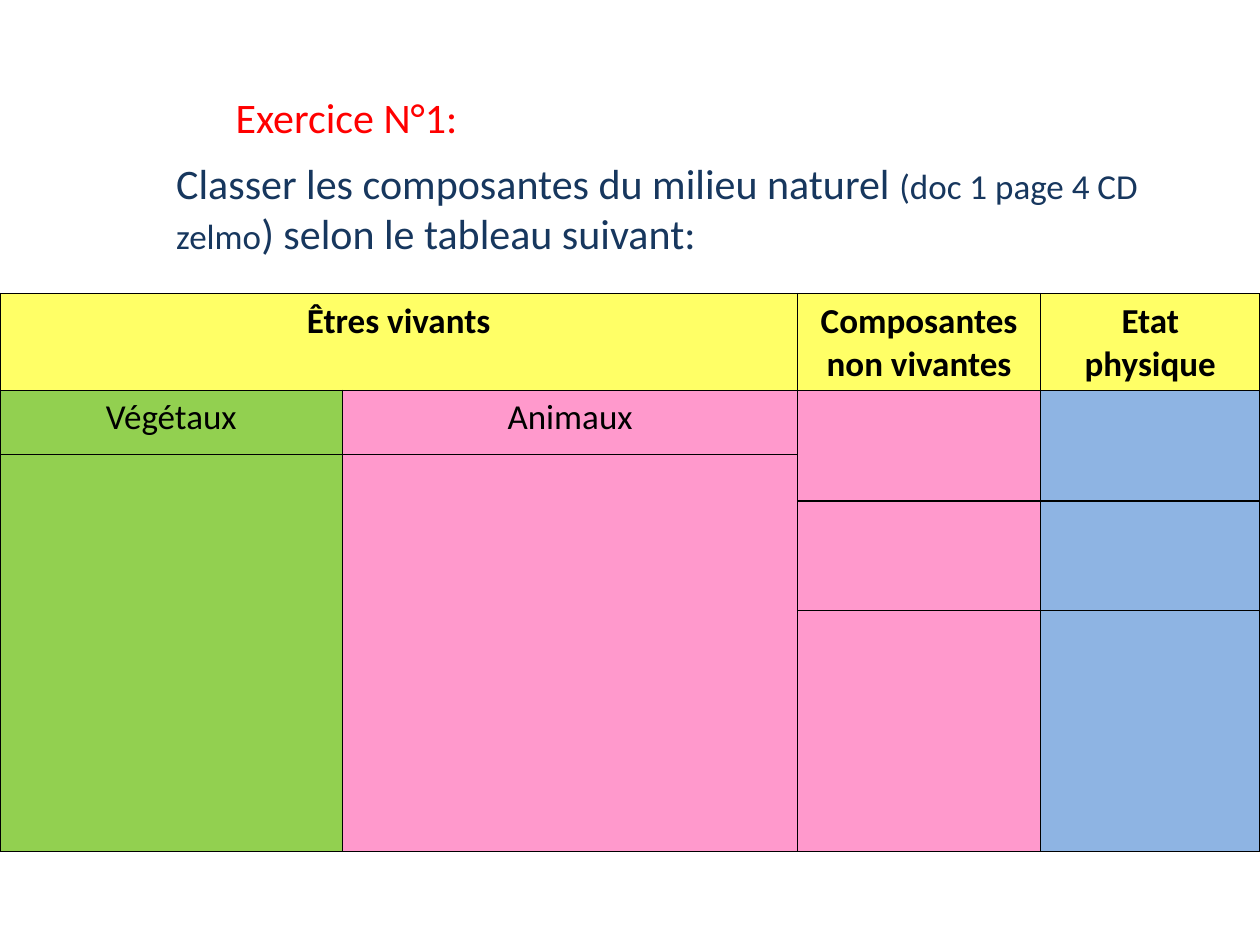
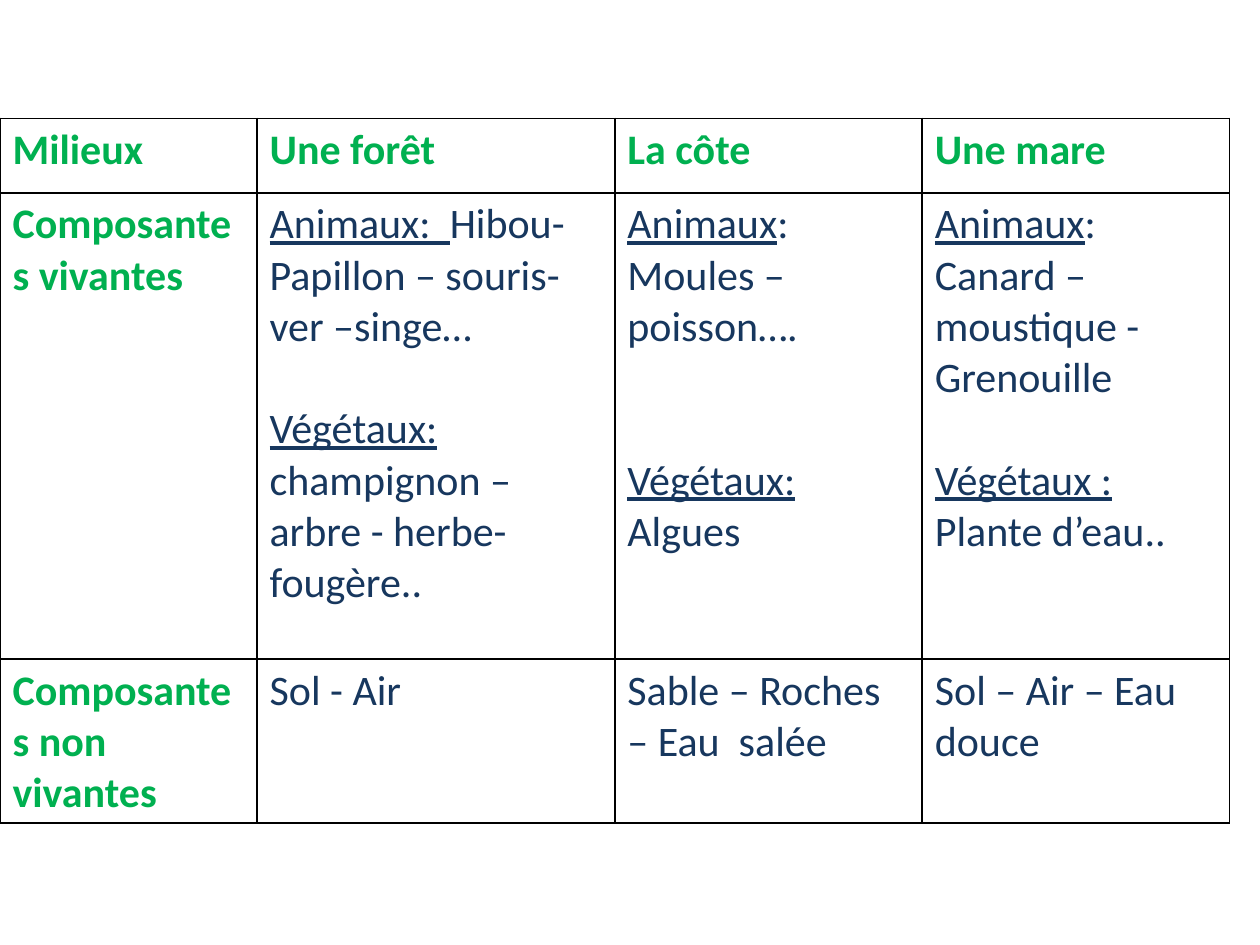
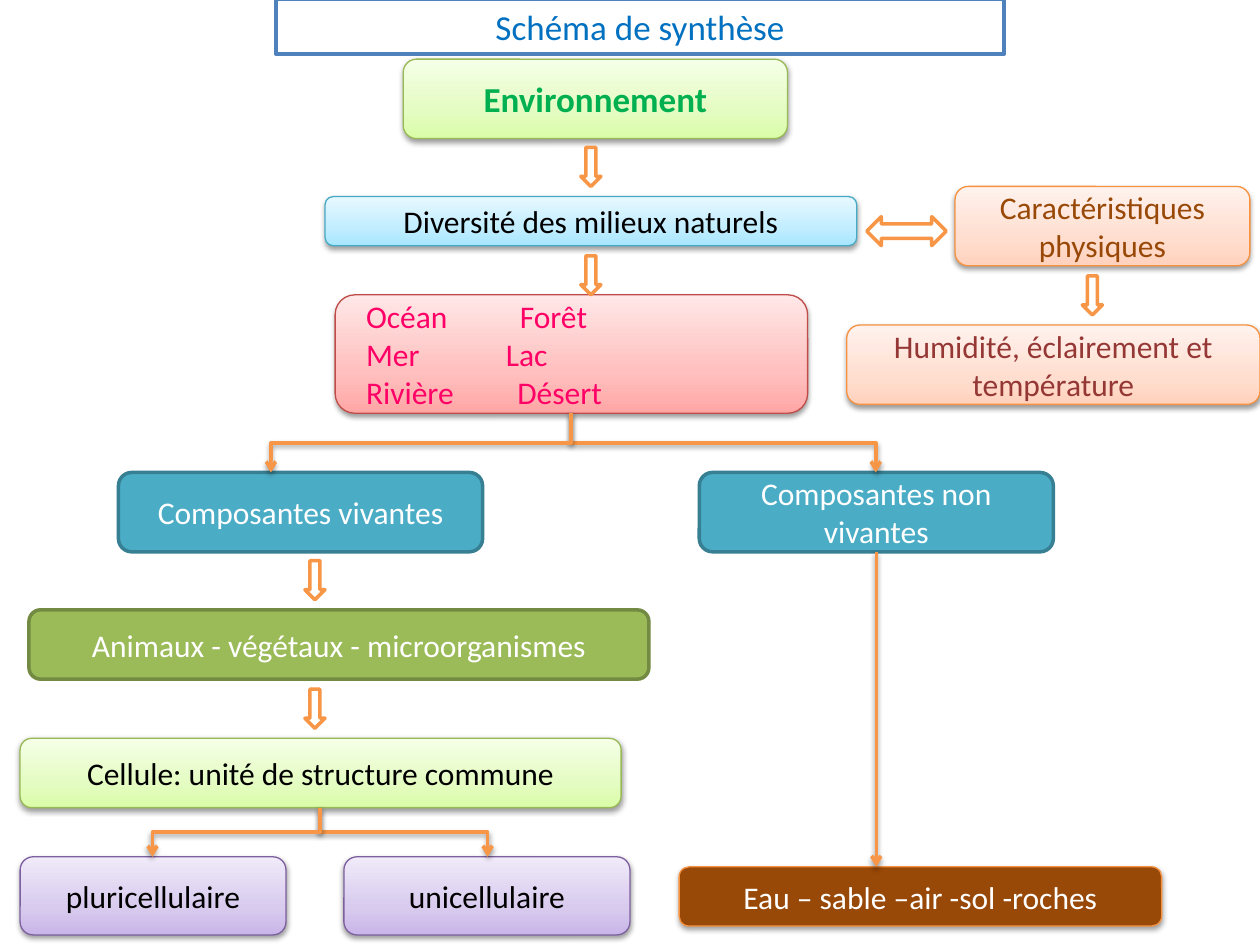
from lxml import etree
from pptx import Presentation
from pptx.dml.color import RGBColor
from pptx.enum.shapes import MSO_CONNECTOR, MSO_SHAPE
from pptx.enum.text import MSO_ANCHOR, MSO_AUTO_SIZE, PP_ALIGN
from pptx.oxml.ns import qn
from pptx.util import Inches, Pt

FONT = "Calibri"
LEFT, CENTER = PP_ALIGN.LEFT, PP_ALIGN.CENTER
TOP, MIDDLE = MSO_ANCHOR.TOP, MSO_ANCHOR.MIDDLE
ROUNDED = MSO_SHAPE.ROUNDED_RECTANGLE
DOWN, BOTH_WAYS = MSO_SHAPE.DOWN_ARROW, MSO_SHAPE.LEFT_RIGHT_ARROW
STRAIGHT, ELBOW = MSO_CONNECTOR.STRAIGHT, MSO_CONNECTOR.ELBOW
TITLE_ONLY, BLANK = 5, 6

BLACK, WHITE, NAVY, RED = "000000", "FFFFFF", "17375E", "FF0000"
GREEN, ORANGE, BROWN = "00B050", "F79646", "984807"
YELLOW, LIME, PINK, SKY = "FFFF66", "92D050", "FF99CC", "8EB4E3"

# Box styles: fill (one colour or gradient stops), line colour, line width, shadow
LIGHT_GREEN = (("DAFDA7", "E4FCC2", "F5FFE7"), "98B955", 0.75, True)
LIGHT_BLUE = (("A7E6FF", "C1EDFF", "E7F8FF"), "46AAC5", 0.75, True)
LIGHT_ORANGE = (("FFD2BD", "FFDED0", "FFF2ED"), "F69240", 0.75, True)
LIGHT_RED = (("FFA6A5", "FFC0BF", "FFE7E7"), "BF4C48", 0.75, True)
LIGHT_PURPLE = (("C9B5E8", "D8CBEE", "F0EAF9"), "7D60A0", 0.75, True)
SOLID_TEAL = ("4BACC6", "377F92", 2, False)
SOLID_GREEN = ("9BBB59", "738A42", 2, False)
SOLID_BROWN = (BROWN, "F69240", 0.75, True)
ARROW = (WHITE, ORANGE, 2, False)
GRADIENT_STOPS = (0, 35000, 100000)


def rgb(value):
    return RGBColor.from_string(value)


def child(parent, tag, **attributes):
    """Append a drawing element such as a:ln."""
    element = etree.SubElement(parent, qn(tag))
    for name, value in attributes.items():
        element.set(name, str(value))
    return element


def add_span(para, text, size, color, bold=False, underline=False):
    span = para.add_run()
    span.text = text
    font = span.font
    font.name, font.size, font.bold = FONT, Pt(size), bold
    font.underline = underline
    font.color.rgb = rgb(color)


def write(frame, paragraphs, size, color, bold=False, align=LEFT):
    """Fill a frame; a paragraph is a text or (lines of gap above, spans)."""
    for index, content in enumerate(paragraphs):
        para = frame.paragraphs[0] if index == 0 else frame.add_paragraph()
        para.alignment = align
        gap, spans = (0, [(content, {})]) if isinstance(content, str) else content
        para.space_before = Pt(size * 1.22 * gap)
        for text, changes in spans:
            add_span(para, text, **{"size": size, "color": color, "bold": bold, **changes})


def place(shape, left, top, width, height):
    shape.left, shape.top = Inches(left), Inches(top)
    shape.width, shape.height = Inches(width), Inches(height)


def add_title(page, text, area, size, color, align):
    title = page.shapes.title
    place(title, *area)
    frame = title.text_frame
    frame.auto_size = MSO_AUTO_SIZE.NONE
    frame.vertical_anchor = TOP
    write(frame, [text], size, color, align=align)
    return title


def add_table(page, left, top, columns, rows):
    table = page.shapes.add_table(
        len(rows), len(columns), Inches(left), Inches(top),
        Inches(sum(columns)), Inches(sum(rows))).table
    table.first_row = table.horz_banding = False
    for column, width in zip(table.columns, columns):
        column.width = Inches(width)
    for row, height in zip(table.rows, rows):
        row.height = Inches(height)
    for cell in table.iter_cells():
        properties = cell._tc.get_or_add_tcPr()
        for side in ("a:lnL", "a:lnR", "a:lnT", "a:lnB"):
            border = child(properties, side, w=Pt(1))
            child(child(border, "a:solidFill"), "a:srgbClr", val=BLACK)
        cell.fill.background()
    return table


def fill_cell(cell, color):
    cell.fill.solid()
    cell.fill.fore_color.rgb = rgb(color)


def add_shadow(effects):
    shadow = child(effects, "a:outerShdw", blurRad=Pt(3.1), dist=Pt(1.6),
                   dir=5400000, rotWithShape=0)
    child(child(shadow, "a:srgbClr", val=BLACK), "a:alpha", val=38000)


def fill_gradient(shape, colors):
    """Run the colours from the bottom edge to the top edge."""
    shape.fill.gradient()
    shape.fill.gradient_angle = 90
    stops = shape._element.spPr.find(qn("a:gradFill")).find(qn("a:gsLst"))
    for stop in list(stops):
        stops.remove(stop)
    for position, color in zip(GRADIENT_STOPS, colors):
        child(child(stops, "a:gs", pos=position), "a:srgbClr", val=color)


def style_shape(shape, style):
    fill, line, width, shadowed = style
    if isinstance(fill, str):
        shape.fill.solid()
        shape.fill.fore_color.rgb = rgb(fill)
    else:
        fill_gradient(shape, fill)
    shape.line.color.rgb = rgb(line)
    shape.line.width = Pt(width)
    shape.shadow.inherit = False
    if shadowed:
        add_shadow(shape._element.spPr.find(qn("a:effectLst")))


def add_shape(page, kind, area, style):
    shape = page.shapes.add_shape(kind, *map(Inches, area))
    style_shape(shape, style)
    return shape


def add_box(page, paragraphs, area, style, color, size=18, bold=False, align=CENTER):
    box = add_shape(page, ROUNDED, area, style)
    frame = box.text_frame
    frame.word_wrap = True
    frame.vertical_anchor = MIDDLE
    write(frame, paragraphs, size, color, bold, align)
    return box


def style_connector(connector):
    connector.line.color.rgb = rgb(ORANGE)
    connector.line.width = Pt(2)
    properties = connector._element.spPr
    child(properties.find(qn("a:ln")), "a:tailEnd", type="arrow")
    add_shadow(child(properties, "a:effectLst"))


def add_fork(page, x, top, bottom, branches):
    """Draw elbows that go down from one point to several."""
    drop = bottom - top
    for end in branches:
        reach = abs(end - x)
        left = (x + end - drop) / 2
        upper = (top + bottom - reach) / 2
        elbow = page.shapes.add_connector(
            ELBOW, *map(Inches, (left, upper, left + drop, upper + reach)))
        frame = elbow._element.spPr.find(qn("a:xfrm"))
        if end > x:
            frame.set("rot", "16200000")
            frame.set("flipH", "1")
        else:
            frame.set("rot", "5400000")
        style_connector(elbow)


def build_exercise(deck):
    page = deck.slides.add_slide(deck.slide_layouts[TITLE_ONLY])
    add_title(page, "Exercice N°1:", (1.77, 0.68, 2.27, 0.5), 24, RED, LEFT)
    box = page.shapes.add_textbox(*map(Inches, (1.3, 1.2, 8.28, 0.91)))
    box.text_frame.word_wrap = True
    write(box.text_frame, [(0, [
        ("Classer les composantes du milieu naturel ", {}),
        ("(doc 1 page 4 CD zelmo", {"size": 20}),
        (") selon le tableau suivant:", {})])], 24, NAVY)

    table = add_table(page, 0, 2.33, (2.72, 3.61, 1.93, 1.74),
                      (0.76, 0.51, 0.37, 0.87, 1.91))
    for row in range(5):
        colors = [YELLOW] * 4 if row == 0 else (LIME, PINK, PINK, SKY)
        for column, color in enumerate(colors):
            fill_cell(table.cell(row, column), color)
    for first, last in (((0, 0), (0, 1)), ((1, 2), (2, 2)), ((1, 3), (2, 3)),
                        ((2, 0), (4, 0)), ((2, 1), (4, 1))):
        table.cell(*first).merge(table.cell(*last))
    for row, column, text in ((0, 0, "Êtres vivants"), (0, 2, "Composantes non vivantes"),
                              (0, 3, "Etat physique"), (1, 0, "Végétaux"),
                              (1, 1, "Animaux")):
        write(table.cell(row, column).text_frame, [text], 20, BLACK, row == 0, CENTER)


def living(animals_label, animals, gap, plants_label, plants):
    """Give the two paragraphs of a cell: animals, then plants."""
    label = {"underline": True}
    return [(0, [(animals_label, label), (animals, {})]),
            (gap, [(plants_label, label), (plants, {})])]


def build_environments(deck):
    page = deck.slides.add_slide(deck.slide_layouts[BLANK])
    table = add_table(page, 0, 0.94, (2.04, 2.84, 2.44, 2.44), (0.59, 3.7, 1.3))
    contents = (
        (["Milieux"], ["Une forêt"], ["La côte"], ["Une mare"]),
        (["Composantes vivantes"],
         living("Animaux:  ", "Hibou-Papillon – souris- ver –singe…", 1,
                "Végétaux: ", "champignon –arbre - herbe- fougère.."),
         living("Animaux", ": Moules – poisson….", 2, "Végétaux:", " Algues"),
         living("Animaux", ": Canard – moustique - Grenouille", 1,
                "Végétaux : ", "Plante d’eau..")),
        (["Composantes non vivantes"], ["Sol - Air"],
         ["Sable – Roches – Eau  salée"], ["Sol – Air – Eau douce"]))
    for row, cells in enumerate(contents):
        for column, paragraphs in enumerate(cells):
            heading = row == 0 or column == 0
            write(table.cell(row, column).text_frame, paragraphs, 24,
                  GREEN if heading else NAVY, heading)


def build_summary(deck):
    page = deck.slides.add_slide(deck.slide_layouts[TITLE_ONLY])
    title = add_title(page, "Schéma de synthèse", (2.19, -0.01, 5.78, 0.44),
                      20, "0070C0", CENTER)
    style_shape(title, (WHITE, "4F81BD", 2, False))

    add_box(page, ["Environnement"], (3.2, 0.47, 3.05, 0.63), LIGHT_GREEN,
            GREEN, size=20, bold=True)
    add_box(page, ["Diversité des milieux naturels"], (2.58, 1.56, 4.22, 0.39),
            LIGHT_BLUE, BLACK)
    add_box(page, ["Caractéristiques physiques"], (7.58, 1.48, 2.34, 0.63),
            LIGHT_ORANGE, BROWN)
    habitats = add_box(page, ["Océan\tForêt", "Mer\tLac", "Rivière\tDésert"],
                       (2.66, 2.34, 3.75, 0.94), LIGHT_RED, "FF0066", align=LEFT)
    habitats.text_frame.margin_left = Inches(0.2)
    for para, stop in zip(habitats.text_frame.paragraphs, (1.22, 1.11, 1.2)):
        stops = child(para._p.get_or_add_pPr(), "a:tabLst")
        child(stops, "a:tab", pos=Inches(stop), algn="l")

    add_box(page, ["Composantes vivantes"], (0.94, 3.75, 2.89, 0.63), SOLID_TEAL, WHITE)
    nonliving = add_box(page, ["Composantes non vivantes"], (5.55, 3.75, 2.81, 0.63),
                        SOLID_TEAL, WHITE)
    add_box(page, ["Animaux - végétaux - microorganismes"], (0.23, 4.84, 4.92, 0.55),
            SOLID_GREEN, WHITE)
    add_box(page, ["Cellule: unité de structure commune"], (0.16, 5.86, 4.77, 0.55),
            LIGHT_GREEN, BLACK)
    add_box(page, ["pluricellulaire"], (0.16, 6.8, 2.11, 0.62), LIGHT_PURPLE, BLACK)
    add_box(page, ["unicellulaire"], (2.73, 6.8, 2.27, 0.62), LIGHT_PURPLE, BLACK)
    matter = add_box(page, ["Eau – sable –air -sol -roches"], (5.39, 6.88, 3.83, 0.47),
                     SOLID_BROWN, WHITE)
    add_box(page, ["Humidité, éclairement et température"], (6.72, 2.58, 3.28, 0.63),
            LIGHT_ORANGE, "953735")

    for left, top in ((4.61, 1.17), (4.61, 2.03), (8.59, 2.19), (2.42, 4.45), (2.42, 5.47)):
        add_shape(page, DOWN, (left, top, 0.16, 0.31), ARROW)
    add_shape(page, BOTH_WAYS, (6.88, 1.72, 0.63, 0.23), ARROW)

    add_fork(page, 4.53, 3.28, 3.75, (6.95, 2.15))
    add_fork(page, 2.54, 6.41, 6.8, (3.87, 1.21))
    middle = nonliving.left + nonliving.width // 2
    link = page.shapes.add_connector(
        STRAIGHT, middle, nonliving.top + nonliving.height, middle, matter.top)
    link.begin_connect(nonliving, 2)
    style_connector(link)


def main():
    deck = Presentation()
    deck.slide_width, deck.slide_height = Inches(10), Inches(7.5)
    build_exercise(deck)
    build_environments(deck)
    build_summary(deck)
    deck.save("out.pptx")


if __name__ == "__main__":
    main()
